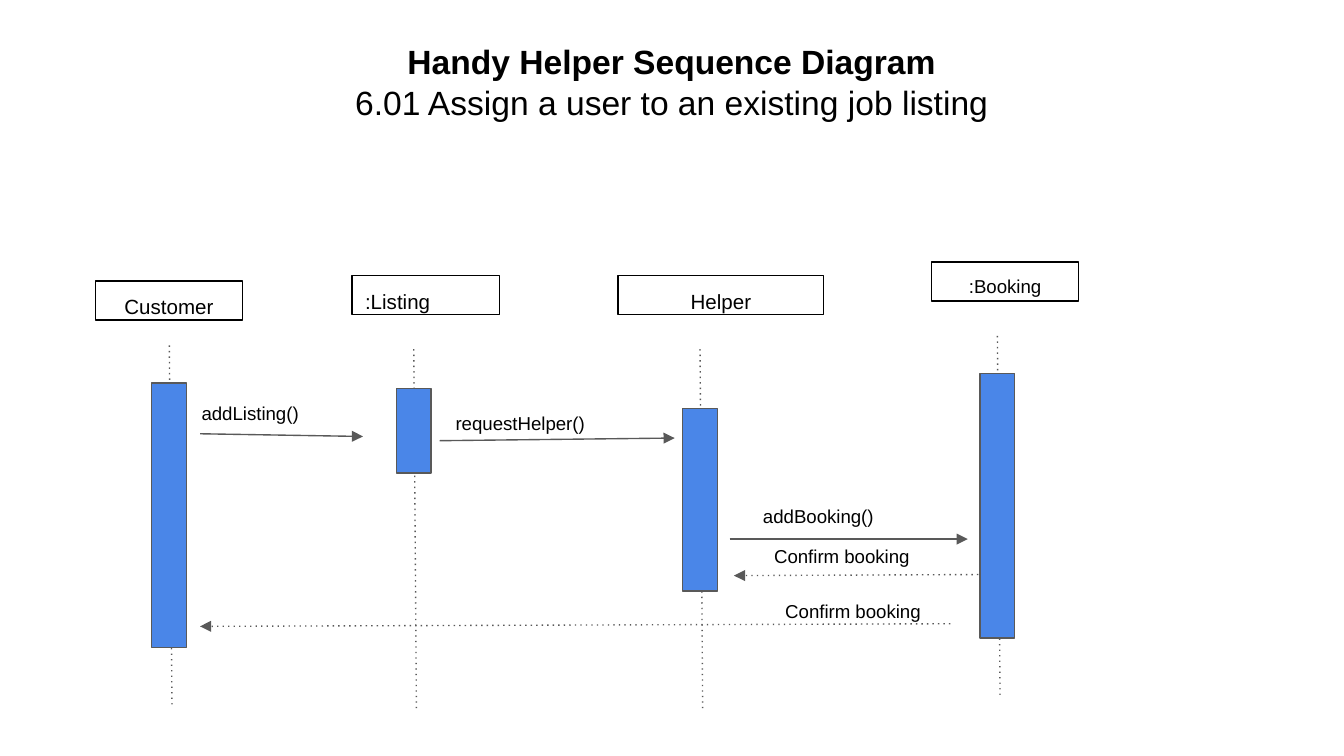
"""Build the Handy Helper sequence diagram slide."""
from lxml import etree
from pptx import Presentation
from pptx.dml.color import RGBColor
from pptx.enum.shapes import MSO_CONNECTOR, MSO_SHAPE
from pptx.enum.text import MSO_ANCHOR, PP_ALIGN
from pptx.oxml.ns import qn
from pptx.util import Cm, Pt

STRAIGHT, RECT = MSO_CONNECTOR.STRAIGHT, MSO_SHAPE.RECTANGLE
TOP, MIDDLE = MSO_ANCHOR.TOP, MSO_ANCHOR.MIDDLE
LEFT, CENTER = PP_ALIGN.LEFT, PP_ALIGN.CENTER

THEME = {
    "font": "Arial",
    "text": RGBColor(0x00, 0x00, 0x00),
    "line": RGBColor(0x59, 0x59, 0x59),
    "bar": RGBColor(0x4A, 0x86, 0xE8),
    "title_size": 18,
    "name_size": 11,
    "small_size": 10,
    "line_width": 0.75,
}

TITLE = [
    ("Handy Helper Sequence Diagram", True),
    ("6.01 Assign a user to an existing job listing", False),
]

PARTICIPANTS = [
    {"name": "Customer", "box": (1.8, 5.31, 2.79), "size": "name_size", "align": CENTER,
     "life": (3.2, 6.53), "bar": (7.24, 5)},
    {"name": ":Listing", "box": (6.65, 5.21, 2.79), "size": "name_size", "align": LEFT,
     "life": (7.82, 6.6), "bar": (7.34, 1.6)},
    {"name": "Helper", "box": (11.68, 5.21, 3.89), "size": "name_size", "align": CENTER,
     "life": (13.23, 6.6), "bar": (7.72, 3.45)},
    {"name": ":Booking", "box": (17.6, 4.95, 2.79), "size": "small_size", "align": CENTER,
     "life": (18.85, 6.35), "bar": (7.06, 5)},
]

MESSAGES = [
    {"text": "addListing()", "label": (3.56, 7.52, 3.51), "align": LEFT,
     "start": (3.78, 8.2), "end": (6.86, 8.25), "reply": False},
    {"text": "requestHelper()", "label": (8.36, 7.72, 4.62), "align": LEFT,
     "start": (8.31, 8.33), "end": (12.75, 8.28), "reply": False},
    {"text": "addBooking()", "label": (14.17, 9.47, 4.85), "align": LEFT,
     "start": (13.79, 10.19), "end": (18.29, 10.19), "reply": False},
    {"text": "Confirm booking", "label": (14.27, 10.24, 3.28), "align": CENTER,
     "start": (18.49, 10.86), "end": (13.87, 10.88), "reply": True},
    {"text": "Confirm booking", "label": (14.48, 11.28, 3.28), "align": CENTER,
     "start": (17.96, 11.79), "end": (3.78, 11.84), "reply": True},
]

NAME_H, LABEL_H, BAR_W, INSET = 0.74, 0.56, 0.66, 0.25
LIFE_H, LIFE_DRIFT = 6.81, 0.05


def write(sp, lines, size, align, anchor):
    tf = sp.text_frame
    tf.word_wrap = True
    tf.vertical_anchor = anchor
    tf.margin_left = tf.margin_top = tf.margin_right = tf.margin_bottom = Cm(INSET)
    for i, (text, bold) in enumerate(lines):
        p = tf.add_paragraph() if i else tf.paragraphs[0]
        p.text = text
        p.alignment = align
        p.font.name = THEME["font"]
        p.font.size = Pt(THEME[size])
        p.font.bold = bold
        p.font.color.rgb = THEME["text"]


def add_text(s, box, lines, size, align, anchor):
    sp = s.shapes.add_textbox(*map(Cm, box))
    write(sp, lines, size, align, anchor)


def add_rect(s, box, line, fill=None):
    sp = s.shapes.add_shape(RECT, *map(Cm, box))
    sp.shadow.inherit = False
    if fill is None:
        sp.fill.background()
    else:
        sp.fill.solid()
        sp.fill.fore_color.rgb = fill
    sp.line.color.rgb = line
    sp.line.width = Pt(THEME["line_width"])
    return sp


def add_line(s, start, end, dotted=False, arrow=False):
    c = s.shapes.add_connector(STRAIGHT, *map(Cm, start + end))
    c.line.color.rgb = THEME["line"]
    c.line.width = Pt(THEME["line_width"])
    spPr = c.element.spPr
    ln = spPr.find(qn("a:ln"))
    if dotted:
        etree.SubElement(ln, qn("a:prstDash"), val="dot")
    if arrow:
        etree.SubElement(ln, qn("a:tailEnd"), type="triangle", w="med", len="med")
    etree.SubElement(spPr, qn("a:effectLst"))


def add_participant(s, item):
    sp = add_rect(s, (*item["box"], NAME_H), THEME["text"])
    write(sp, [(item["name"], False)], item["size"], item["align"], TOP)
    x, y = item["life"]
    add_line(s, (x, y), (x + LIFE_DRIFT, y + LIFE_H), dotted=True)
    top, height = item["bar"]
    add_rect(s, (x - BAR_W / 2, top, BAR_W, height), THEME["line"], THEME["bar"])


def add_message(s, item):
    add_line(s, item["start"], item["end"], dotted=item["reply"], arrow=True)
    add_text(s, (*item["label"], LABEL_H), [(item["text"], False)],
             "small_size", item["align"], MIDDLE)


def main():
    prs = Presentation()
    prs.slide_width, prs.slide_height = Cm(25.4), Cm(14.29)
    s = prs.slides.add_slide(prs.slide_layouts[6])
    add_text(s, (0.86, 0.53, 23.67, 1.6), TITLE, "title_size", CENTER, TOP)
    for item in PARTICIPANTS:
        add_participant(s, item)
    for item in MESSAGES:
        add_message(s, item)
    prs.save("out.pptx")


if __name__ == "__main__":
    main()
